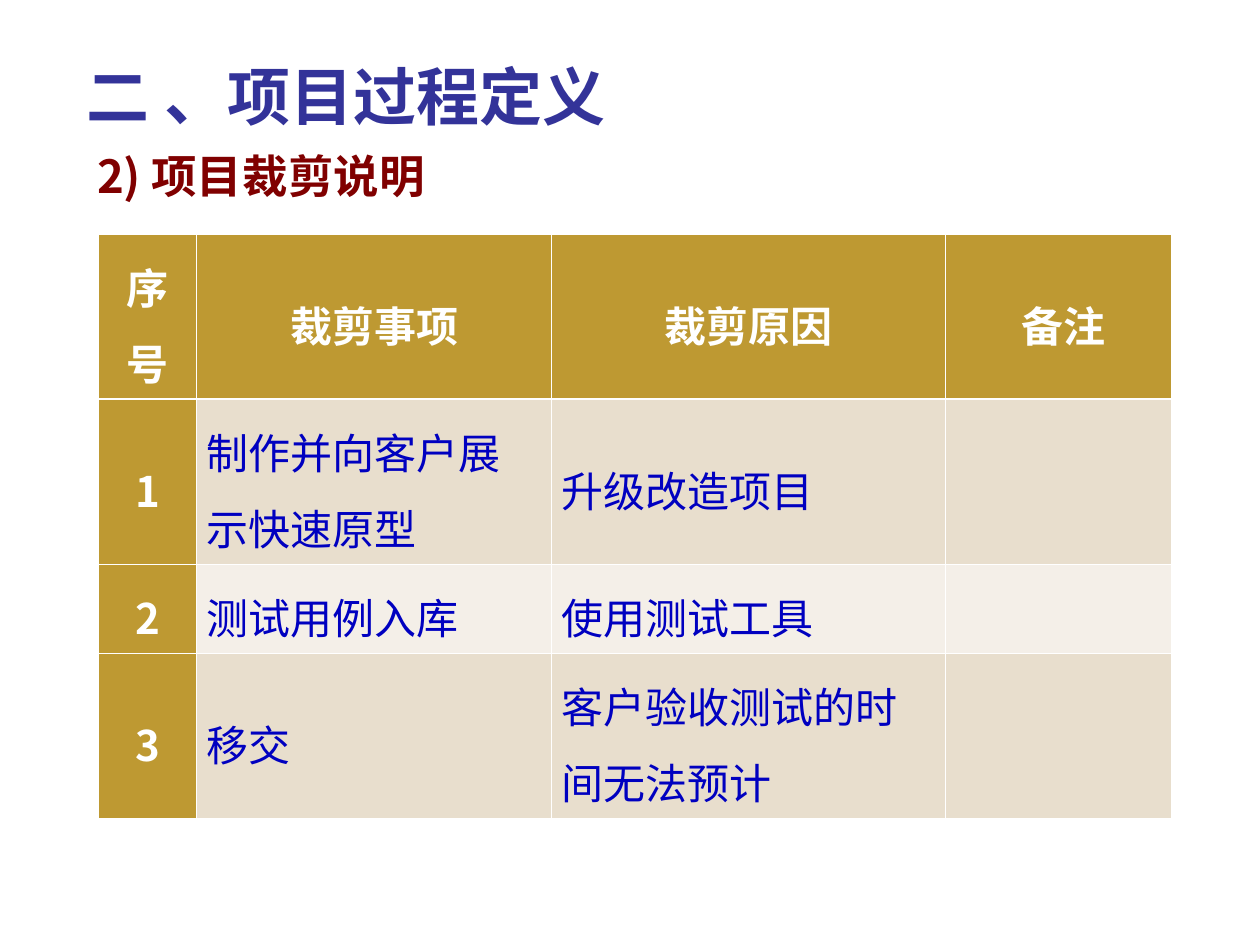
from lxml.etree import SubElement
from pptx import Presentation
from pptx.dml.color import RGBColor
from pptx.enum.text import MSO_ANCHOR, MSO_AUTO_SIZE, PP_ALIGN
from pptx.oxml.ns import qn
from pptx.util import Inches, Pt

COLORS = {
    "title": "333399", "subtitle": "800000", "gold": "BE9932",
    "band1": "E8DECD", "band2": "F4EFE8", "text": "0000C0", "white": "FFFFFF",
}
CJK = "Noto Sans CJK SC"


def format_paragraph(p, size, color, bold, align, font=CJK):
    p.alignment = align
    for r in p.runs:
        r.font.size = Pt(size)
        r.font.bold = bold
        r.font.name = font
        r.font.color.rgb = RGBColor.from_string(COLORS[color])
        SubElement(r.font._element, qn("a:ea"), typeface=CJK)


def set_borders(cell, widths):
    tcPr = cell._tc.get_or_add_tcPr()
    for i, (side, width) in enumerate(widths.items()):
        ln = SubElement(tcPr, qn(f"a:ln{side}"), w=str(Pt(width)))
        fill = SubElement(ln, qn("a:solidFill"))
        SubElement(fill, qn("a:srgbClr"), val=COLORS["white"])
        tcPr.insert(i, ln)


prs = Presentation()
prs.slide_width, prs.slide_height = Inches(10), Inches(7.5)
s = prs.slides.add_slide(prs.slide_layouts[1])

title, body = s.shapes.title, s.placeholders[1]
for sp, box, text, anchor in (
    (title, (0.59, 0.28, 8.74, 0.95), "二 、项目过程定义", MSO_ANCHOR.MIDDLE),
    (body, (0.67, 1.17, 8.35, 5.62), "2) 项目裁剪说明", MSO_ANCHOR.TOP),
):
    sp.left, sp.top, sp.width, sp.height = map(Inches, box)
    tf = sp.text_frame
    tf.text = text
    tf.word_wrap = True
    tf.auto_size = MSO_AUTO_SIZE.NONE
    tf.vertical_anchor = anchor

format_paragraph(title.text_frame.paragraphs[0], 36, "title", True, PP_ALIGN.LEFT, "Arial")
p = body.text_frame.paragraphs[0]
format_paragraph(p, 26, "subtitle", True, PP_ALIGN.LEFT)
p.line_spacing = 0.9
p.space_before, p.space_after = Pt(19.5), Pt(3.3)
pPr = p._p.get_or_add_pPr()
pPr.set("marL", "0")
pPr.set("indent", "0")
SubElement(pPr, qn("a:buNone"))

rows = [
    ("序号", "裁剪事项", "裁剪原因", " 备注"),
    ("1", "制作并向客户展示快速原型", "升级改造项目", ""),
    ("2", "测试用例入库", "使用测试工具", ""),
    ("3", "移交", "客户验收测试的时间无法预计", ""),
]
col_widths = (0.78, 2.82, 3.12, 1.8)
row_heights = (1.21, 1.21, 0.61, 1.21)
table = s.shapes.add_table(
    len(rows), len(col_widths), Inches(0.78), Inches(1.86),
    Inches(sum(col_widths)), Inches(sum(row_heights)),
).table
for col, width in zip(table.columns, col_widths):
    col.width = Inches(width)
for row, height in zip(table.rows, row_heights):
    row.height = Inches(height)

for i, values in enumerate(rows):
    for j, value in enumerate(values):
        cell = table.cell(i, j)
        heading = i == 0 or j == 0
        fill = "gold" if heading else "band1" if i % 2 else "band2"
        cell.fill.solid()
        cell.fill.fore_color.rgb = RGBColor.from_string(COLORS[fill])
        cell.vertical_anchor = MSO_ANCHOR.MIDDLE
        cell.margin_left = cell.margin_right = Inches(0.08)
        cell.margin_top = cell.margin_bottom = Inches(0.05)
        set_borders(cell, {
            "L": 0.45, "R": 0.45,
            "T": 1.47 if i == 1 else 0.45,
            "B": 1.47 if i == 0 else 0.45,
        })
        if value:
            cell.text_frame.text = value
            p = cell.text_frame.paragraphs[0]
            p.line_spacing = 1.25
            format_paragraph(p, 24, "white" if heading else "text", heading,
                             PP_ALIGN.CENTER if heading else PP_ALIGN.LEFT)

prs.save("out.pptx")
